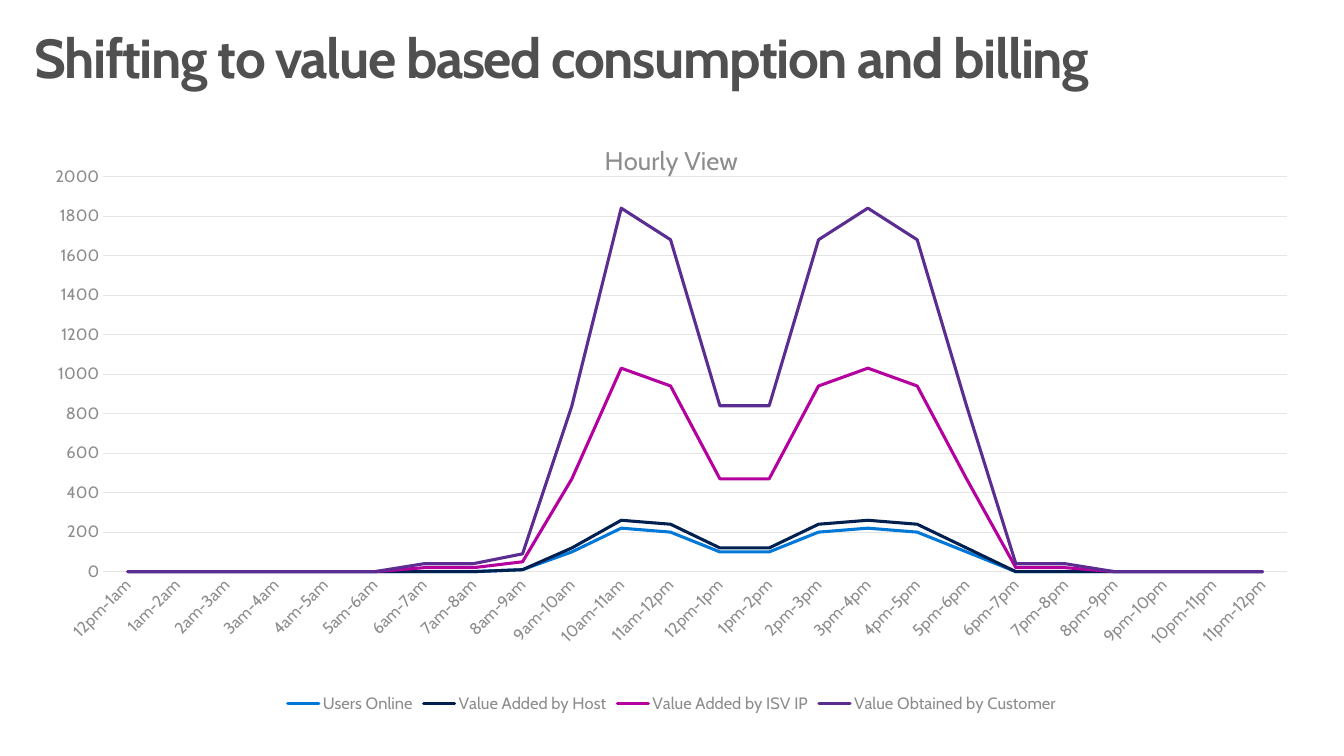
from lxml import etree
from pptx import Presentation
from pptx.chart.data import CategoryChartData
from pptx.dml.color import RGBColor
from pptx.enum.chart import XL_CHART_TYPE as CT, XL_LEGEND_POSITION as LP, XL_TICK_MARK as TM
from pptx.enum.text import MSO_ANCHOR, PP_ALIGN
from pptx.oxml.ns import qn
from pptx.util import Pt

FONT = "Cabin"
DARK = RGBColor(0x50, 0x50, 0x50)
GREY = RGBColor(0x8D, 0x8D, 0x8D)
RULE = RGBColor(0xE5, 0xE5, 0xE5)
BLUE = RGBColor(0x00, 0x78, 0xD7)
NAVY = RGBColor(0x00, 0x20, 0x50)
MAGENTA = RGBColor(0xB4, 0x00, 0x9E)
PURPLE = RGBColor(0x5C, 0x2D, 0x91)


def write_text(tf, text, size=12, color=GREY, bold=False, align=None):
    p = tf.paragraphs[0]
    p.alignment = align
    r = p.add_run()
    r.text = text
    r.font.name, r.font.size, r.font.bold = FONT, Pt(size), bold
    r.font.color.rgb = color
    return p, r


def set_layout(parent, index, modes, **percents):
    """Place a chart part by hand, in percent of the chart's size."""
    for old in parent.findall(qn("c:layout")):
        parent.remove(old)
    layout = etree.Element(qn("c:layout"))
    parent.insert(index, layout)
    manual = etree.SubElement(layout, qn("c:manualLayout"))
    for tag, value in modes.items():
        etree.SubElement(manual, qn("c:" + tag)).set("val", value)
    for tag, value in percents.items():
        etree.SubElement(manual, qn("c:" + tag)).set("val", f"{value / 100:.3f}")


prs = Presentation()
prs.slide_width, prs.slide_height = Pt(979.2), Pt(550.8)
s = prs.slides.add_slide(prs.slide_layouts[5])

# Title
title = s.shapes.title
title.left, title.top, title.width, title.height = Pt(13.7), Pt(15.8), Pt(955.4), Pt(72)
tf = title.text_frame
tf.word_wrap = True
tf.vertical_anchor = MSO_ANCHOR.TOP
tf.margin_left = tf.margin_right = Pt(11.5)
tf.margin_top = tf.margin_bottom = Pt(7.2)
p, r = write_text(tf, "Shifting to value based consumption and billing",
                  size=40, color=DARK, bold=True, align=PP_ALIGN.LEFT)
p.line_spacing = 0.9
r.font._element.set("spc", "-103")

# Hourly data: every value follows from the number of users online, to the nearest ten
hours = ["12pm-1am"]
hours += [f"{h}am-{h + 1}am" for h in range(1, 11)] + ["11am-12pm", "12pm-1pm"]
hours += [f"{h}pm-{h + 1}pm" for h in range(1, 12)]
users = [0] * 6 + [5, 5, 10, 100, 220, 200, 100, 100, 200, 220, 200, 100, 5, 5, 1, 1, 0, 0]
series = [
    ("Users Online", 1, BLUE),
    ("Value Added by Host", 0.18, NAVY),
    ("Value Added by ISV IP", 3.5, MAGENTA),
    ("Value Obtained by Customer", 3.68, PURPLE),
]
data = CategoryChartData()
data.categories = hours
for name, rate, _ in series:
    data.add_series(name, [int(round(u * rate, -1)) for u in users])

# Chart
chart = s.shapes.add_chart(CT.LINE_STACKED, Pt(30.2), Pt(87.8), Pt(918.7), Pt(434.9), data).chart
chart.font.name, chart.font.size = FONT, Pt(12)
chart.font.color.rgb = GREY
write_text(chart.chart_title.text_frame, "Hourly View", size=18.6)
chart.chart_title.include_in_layout = False
edges = {"xMode": "edge", "yMode": "edge"}
set_layout(chart.chart_title._element, 1, edges, x=44.3, y=3)
set_layout(chart._chartSpace.chart.plotArea, 0, {"layoutTarget": "inner", **edges},
           x=4.9, y=9.4, w=93.9, h=66.2)
chart.has_legend = True
chart.legend.position = LP.BOTTOM
chart.legend.include_in_layout = False

for ser, (_, _, color) in zip(chart.plots[0].series, series):
    ser.smooth = False
    line = ser.format.line
    line.color.rgb = color
    line.width = Pt(2.25)
    ser._element.find(qn("c:spPr")).find(qn("a:ln")).set("cap", "rnd")

# Axes
cat, val = chart.category_axis, chart.value_axis
for axis in (cat, val):
    axis.major_tick_mark = axis.minor_tick_mark = TM.NONE
    axis.tick_labels.font.size = Pt(12)
val.minimum_scale, val.maximum_scale, val.major_unit = 0, 2000, 200
val.has_major_gridlines = True
val.format.line.fill.background()
for line in (cat.format.line, val.major_gridlines.format.line):
    line.color.rgb = RULE
    line.width = Pt(0.75)
cat._element.find(qn("c:txPr")).find(qn("a:bodyPr")).set("rot", "-2700000")

prs.save("out.pptx")
